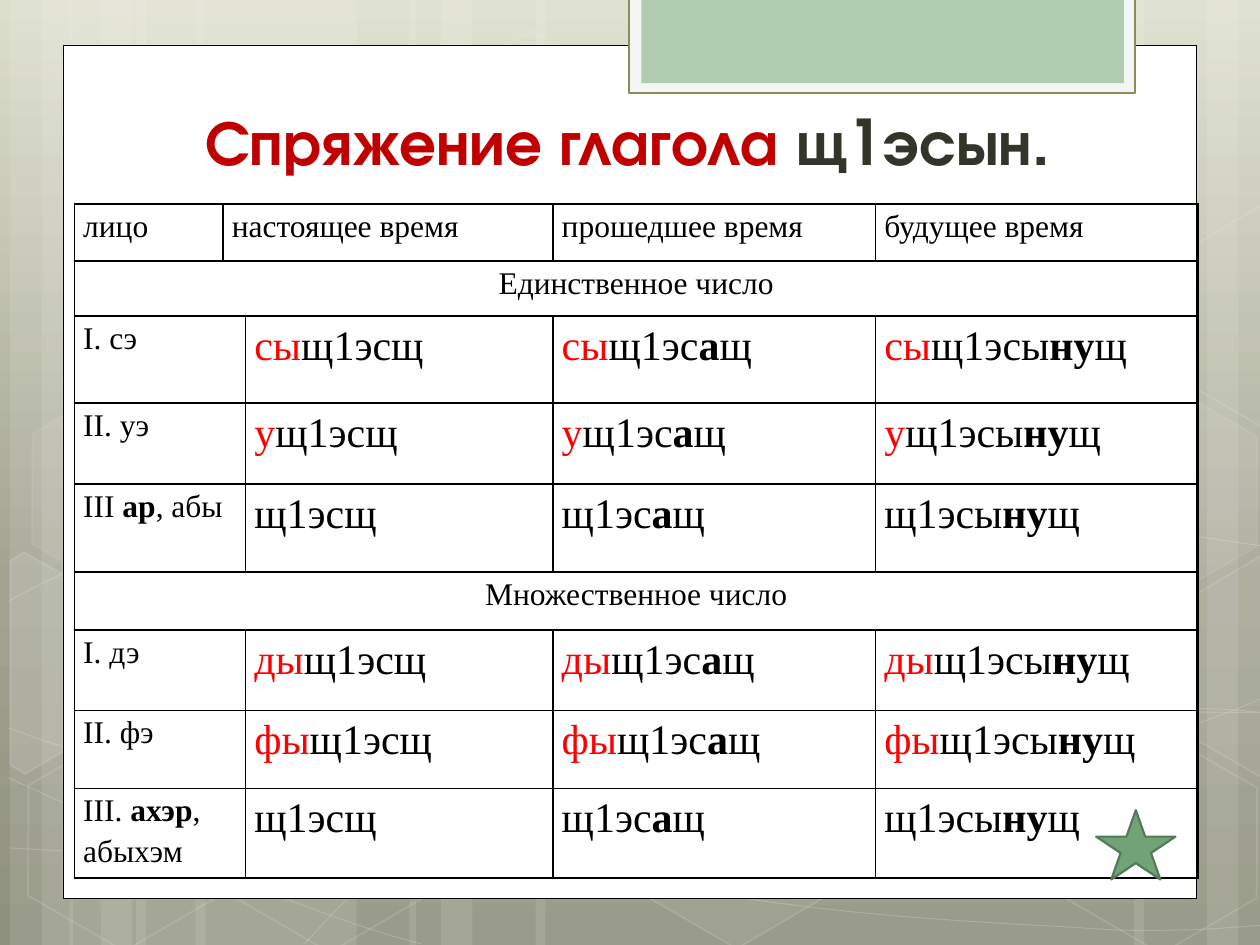
from copy import deepcopy
from math import cos, radians, sin

from lxml import etree
from pptx import Presentation
from pptx.dml.color import RGBColor
from pptx.enum.shapes import MSO_SHAPE
from pptx.enum.text import MSO_ANCHOR, PP_ALIGN
from pptx.oxml.ns import qn
from pptx.util import Inches, Pt

RECTANGLE, HEXAGON, STAR = MSO_SHAPE.RECTANGLE, MSO_SHAPE.HEXAGON, MSO_SHAPE.STAR_5_POINT
CENTER, JUSTIFY = PP_ALIGN.CENTER, PP_ALIGN.JUSTIFY
BOTTOM, TOP = MSO_ANCHOR.BOTTOM, MSO_ANCHOR.TOP

WHITE = RGBColor(0xFF, 0xFF, 0xFF)
BLACK = RGBColor(0, 0, 0)
RED = RGBColor(0xFF, 0, 0)
DARK_RED = RGBColor(0xC0, 0, 0)
DARK_OLIVE = RGBColor(0x34, 0x35, 0x2A)
OLIVE = RGBColor(0x8A, 0x8E, 0x56)
PALE_GRAY = RGBColor(0xF5, 0xF5, 0xF5)
PALE_GREEN = RGBColor(0xB0, 0xCC, 0xB0)
GREEN = RGBColor(0x72, 0xA3, 0x76)
DARK_GREEN = RGBColor(0x54, 0x79, 0x57)
GRADIENT = [(0, RGBColor(0xDD, 0xDF, 0xCC)), (0.62, RGBColor(0xA2, 0xA3, 0x91)),
            (1, RGBColor(0x8F, 0x91, 0x7E))]

TITLE_FONT, BODY_FONT = "TeX Gyre Adventor", "Times New Roman"
TILT = 30

BARS = [(1.08, 1.75), (0.08, 0.5), (0.33, 0.83), (1.55, 1.75), (0.55, 0.5), (0.8, 0.83),
        (7.33, 1.75), (9.58, 0.5), (9, 0.83), (4.25, 3.08), (3.25, 0.5), (3.5, 0.83)]
CURVES = [
    [(0.07, 6.73), (0.61, 6.76), (1.15, 6.79), (1.9, 6.78), (2.65, 6.77), (3.58, 6.75),
     (4.58, 6.65), (5.58, 6.55), (7, 6.36), (7.92, 6.17), (8.83, 5.98), (9.77, 5.68),
     (10.07, 5.51)],
    [(0.07, 4.77), (0.36, 4.61), (0.65, 4.46), (1.21, 4.31), (1.78, 4.16), (2.59, 3.94),
     (3.47, 3.87), (4.36, 3.8), (5.44, 3.79), (6.54, 3.87), (7.64, 3.95), (9.47, 4.26),
     (10.07, 4.34)],
    [(0.06, 6.17), (1.27, 6.72), (2.47, 7.27), (3.34, 7.49)],
    [(0.07, 5.78), (0.38, 5.89), (0.7, 6), (1.28, 6.16), (1.86, 6.31), (2.73, 6.56),
     (3.57, 6.73), (4.4, 6.9), (5.45, 7.08), (6.28, 7.18), (7.11, 7.29), (8, 7.33),
     (8.53, 7.36), (9.05, 7.4), (9.19, 7.38), (9.45, 7.38), (9.71, 7.37), (9.89, 7.35),
     (10.07, 7.34)],
    [(2.42, 7.49), (2.6, 7.29), (2.78, 7.09), (3.02, 6.91), (3.26, 6.73), (3.6, 6.53),
     (3.88, 6.39), (4.16, 6.25), (4.33, 6.19), (4.7, 6.09), (5.06, 5.99), (5.73, 5.85),
     (6.08, 5.78), (6.44, 5.71), (6.49, 5.71), (6.8, 5.69), (7.11, 5.66), (7.6, 5.63),
     (7.94, 5.62), (8.29, 5.61), (8.86, 5.62), (8.86, 5.62), (9.08, 5.62), (9.31, 5.62),
     (9.53, 5.62), (9.71, 5.63), (9.88, 5.64), (9.97, 5.65), (10.06, 5.66), (10.03, 5.65),
     (10.06, 5.66)],
]
CURVES[4].pop(21)
HEXAGONS = [(3.34, 0.36, 4, 8), (4.97, 5.89, 6, 12), (0.11, 5.91, None, 12),
            (0.14, 3.12, 7, 8), (1.74, 5.92, None, 12), (7.53, 4.53, 10, 12),
            (8.34, 5.93, None, 12), (8.34, 3.14, 7, 8)]
CUT_HEXAGONS = [
    ([(0.08, 4.45), (0.19, 4.38), (0.96, 4.82), (0.95, 5.7), (0.2, 6.14), (0.08, 6.07)],
     (0.36, 5.35), 10),
    ([(9.26, 4.85), (10.01, 4.41), (10.09, 4.46), (10.09, 6.13), (10.02, 6.17),
      (9.26, 5.73)], (9.85, 5.2), 4),
    ([(9.26, 2.07), (10.01, 1.63), (10.1, 1.68), (10.09, 3.35), (10.02, 3.39),
      (9.26, 2.95)], (9.85, 2.41), None),
]

COLUMN_WIDTHS = [1.18, 0.14, 2.44, 2.56, 2.56]
ROW_HEIGHTS = [0.45, 0.44, 0.69, 0.64, 0.7, 0.46, 0.64, 0.62, 0.71]
HEADERS = {0: "лицо", 1: "настоящее время", 3: "прошедшее время", 4: "будущее время"}
NUMBERS = {1: "Единственное число", 5: "Множественное число"}
PERSONS = {
    2: ([[("I. сэ", False)]], "сы"),
    3: ([[("II. уэ", False)]], "у"),
    4: ([[("III ", False), ("ар", True), (", абы", False)]], ""),
    6: ([[("I. дэ", False)]], "ды"),
    7: ([[("II. фэ", False)]], "фы"),
    8: ([[("III. ", False), ("ахэр", True), (",", False)], [("абыхэм", False)]], ""),
}
TENSES = [[("щ1эсщ", False)],
          [("щ1эс", False), ("а", True), ("щ", False)],
          [("щ1эсы", False), ("ну", True), ("щ", False)]]


def add_run(paragraph, text, *, size=18, color=BLACK, bold=False, font=BODY_FONT):
    run = paragraph.add_run()
    run.text = text
    run.font.name = font
    run.font.size = Pt(size)
    run.font.bold = bold
    run.font.color.rgb = color


def set_alpha(shape, place, percent):
    for color in shape.element.xpath(f"./p:spPr/{place}a:solidFill/a:srgbClr"):
        etree.SubElement(color, qn("a:alpha"), val=str(percent * 1000))


def turn_back(points, center):
    c, s = cos(radians(TILT)), sin(radians(TILT))
    offsets = [(x - center[0], y - center[1]) for x, y in points]
    return [(center[0] + x * c + y * s, center[1] - x * s + y * c) for x, y in offsets]


class SlideBuilder:
    def __init__(self, slide):
        self.slide = slide
        self.shapes = slide.shapes

    def background(self, stops):
        fill = self.slide.background.fill
        fill.gradient()
        fill.gradient_angle = 270
        stop_list = self.slide.element.xpath(".//a:gsLst")[0]
        stop_list.append(deepcopy(stop_list[0]))
        for stop, (position, color) in zip(fill.gradient_stops, stops):
            stop.position = position
            stop.color.rgb = color

    def paint(self, shape, fill=None, line=None, width=1, fill_alpha=100, line_alpha=100):
        shape.shadow.inherit = False
        for target, color in ((shape.fill, fill), (shape.line.fill, line)):
            if color is None:
                target.background()
            else:
                target.solid()
                target.fore_color.rgb = color
        if line is not None:
            shape.line.width = Pt(width)
        set_alpha(shape, "", fill_alpha)
        set_alpha(shape, "a:ln/", line_alpha)

    def preset(self, kind, box, **paint):
        shape = self.shapes.add_shape(kind, *map(Inches, box))
        self.paint(shape, **paint)
        return shape

    def hexagon(self, left, top, **paint):
        shape = self.preset(HEXAGON, (left, top, 1.75, 1.52), **paint)
        shape.adjustments[0] = 0.285
        shape.adjustments[1] = 1.155
        shape.rotation = TILT

    def outline(self, points, close, **paint):
        start, *rest = [(Inches(x), Inches(y)) for x, y in points]
        builder = self.shapes.build_freeform(*start)
        builder.add_line_segments(rest, close=close)
        shape = builder.convert_to_shape()
        self.paint(shape, **paint)
        return shape

    def curve(self, points, **paint):
        shape = self.outline(points, False, **paint)
        segments = shape.element.xpath(".//a:lnTo")
        for index in range(0, len(segments), 3):
            bend = etree.Element(qn("a:cubicBezTo"))
            segments[index].addprevious(bend)
            for segment in segments[index:index + 3]:
                bend.append(segment[0])
                segment.getparent().remove(segment)

    def title(self, box, parts):
        frame = self.shapes.add_textbox(*map(Inches, box)).text_frame
        frame.word_wrap = True
        frame.vertical_anchor = BOTTOM
        paragraph = frame.paragraphs[0]
        paragraph.alignment = CENTER
        for text, color in parts:
            add_run(paragraph, text, size=36, color=color, bold=True, font=TITLE_FONT)

    def table(self, left, top, widths, heights):
        table = self.shapes.add_table(len(heights), len(widths), Inches(left), Inches(top),
                                      Inches(sum(widths)), Inches(sum(heights))).table
        table.first_row = table.horz_banding = False
        for column, width in zip(table.columns, widths):
            column.width = Inches(width)
        for row, height in zip(table.rows, heights):
            row.height = Inches(height)
        for cell in table.iter_cells():
            self.cell_style(cell)
        return table

    def cell_style(self, cell):
        cell.margin_left = cell.margin_right = Inches(0.07)
        cell.margin_top = cell.margin_bottom = 0
        cell.vertical_anchor = TOP
        properties = cell._tc.get_or_add_tcPr()
        for side in ("lnL", "lnR", "lnT", "lnB"):
            border = etree.SubElement(properties, qn(f"a:{side}"), w=str(Pt(1)))
            fill = etree.SubElement(border, qn("a:solidFill"))
            etree.SubElement(fill, qn("a:srgbClr"), val=str(BLACK))
        cell.fill.background()

    def cell_text(self, cell, lines, size=18, alignment=JUSTIFY, prefix=""):
        frame = cell.text_frame
        for index, parts in enumerate(lines):
            paragraph = frame.add_paragraph() if index else frame.paragraphs[0]
            paragraph.alignment = alignment
            paragraph.line_spacing = 1.15
            if prefix:
                add_run(paragraph, prefix, size=size, color=RED)
            for text, bold in parts:
                add_run(paragraph, text, size=size, bold=bold)


def fill_conjugation(builder, table):
    table.cell(0, 1).merge(table.cell(0, 2))
    for column, text in HEADERS.items():
        builder.cell_text(table.cell(0, column), [[(text, False)]])
    for row, text in NUMBERS.items():
        table.cell(row, 0).merge(table.cell(row, 4))
        builder.cell_text(table.cell(row, 0), [[(text, False)]], alignment=CENTER)
    for row, (person, prefix) in PERSONS.items():
        table.cell(row, 0).merge(table.cell(row, 1))
        builder.cell_text(table.cell(row, 0), person)
        for column, tense in enumerate(TENSES, start=2):
            builder.cell_text(table.cell(row, column), [tense], size=24, prefix=prefix)


def main():
    presentation = Presentation()
    presentation.slide_width, presentation.slide_height = Inches(10), Inches(7.5)
    builder = SlideBuilder(presentation.slides.add_slide(presentation.slide_layouts[6]))
    builder.background(GRADIENT)
    for left, width in BARS:
        builder.preset(RECTANGLE, (left, 0, width, 7.5), fill=WHITE, fill_alpha=10)
    for points in CURVES:
        builder.curve(points, line=WHITE, width=0.5, line_alpha=20)
    for left, top, alpha, line_alpha in HEXAGONS:
        builder.hexagon(left, top, fill=WHITE if alpha else None, fill_alpha=alpha,
                        line=WHITE, line_alpha=line_alpha)
    for points, center, alpha in CUT_HEXAGONS:
        shape = builder.outline(turn_back(points, center), True, fill=WHITE if alpha else None,
                                fill_alpha=alpha, line=WHITE, line_alpha=12)
        shape.rotation = TILT
    builder.preset(RECTANGLE, (0.5, 0.36, 9, 6.77), fill=WHITE, line=BLACK, width=0.5)
    builder.preset(RECTANGLE, (4.99, -0.02, 4.02, 0.76), fill=PALE_GRAY, line=OLIVE, width=1.25)
    builder.preset(RECTANGLE, (5.09, -0.02, 3.83, 0.68), fill=PALE_GREEN)
    builder.title((1.14, 0.36, 7.68, 1.1),
                  [("Спряжение глагола ", DARK_RED), ("щ1эсын.", DARK_OLIVE)])
    fill_conjugation(builder, builder.table(0.59, 1.62, COLUMN_WIDTHS, ROW_HEIGHTS))
    builder.preset(STAR, (8.7, 6.43, 0.63, 0.55), fill=GREEN, line=DARK_GREEN, width=1.25)
    presentation.save("out.pptx")


if __name__ == "__main__":
    main()
